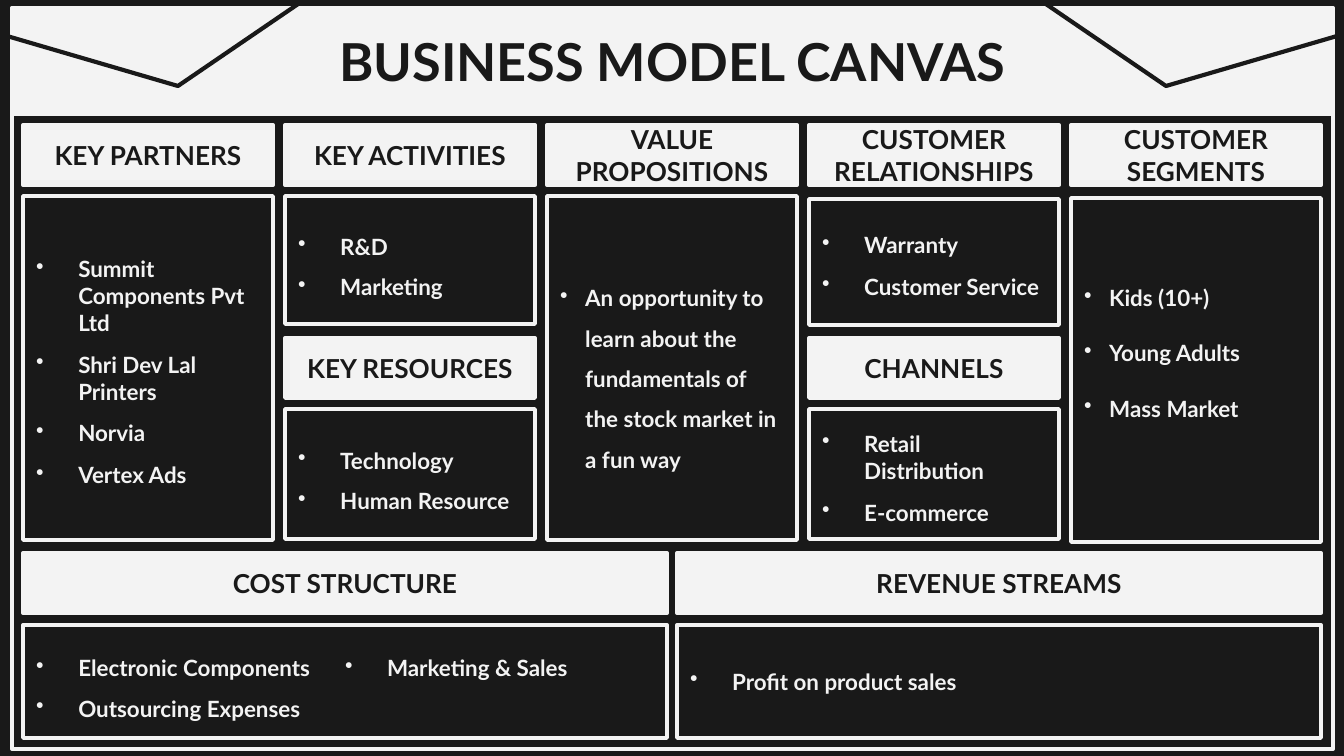
"""Build a business model canvas slide."""
from lxml.etree import SubElement
from pptx import Presentation
from pptx.dml.color import RGBColor
from pptx.enum.shapes import MSO_SHAPE as Shape
from pptx.enum.text import MSO_ANCHOR as Anchor, PP_ALIGN as Align
from pptx.oxml.ns import qn
from pptx.util import Pt

SCALE = 914400 / 134.4
WIDTH, HEIGHT = 1344, 756
COLORS = {"dark": "191919", "light": "F3F3F3"}
FONT = "Lato"
LEFT, PITCH, COLUMN = 23, 262, 250
WIDE, WIDE_PITCH = 644, 654
HEADER_HEIGHT = 60
INSET = 7

HEADERS = [
    (0, 125, "KEY PARTNERS"),
    (1, 125, "KEY ACTIVITIES"),
    (2, 125, "VALUE PROPOSITIONS"),
    (3, 125, "CUSTOMER RELATIONSHIPS"),
    (4, 125, "CUSTOMER SEGMENTS"),
    (1, 338, "KEY RESOURCES"),
    (3, 338, "CHANNELS"),
]
SPACED = {"space": 4}
OPEN = {"line_spacing": 1.5}
NARROW = {"space": 4, "line_spacing": 1.5, "indent": 25}
BODIES = [
    (0, 196, 344, ["Summit Components Pvt Ltd", "Shri Dev Lal Printers",
                   "Norvia", "Vertex Ads"], SPACED),
    (1, 196, 128, ["R&D", "Marketing"], OPEN),
    (1, 409, 130, ["Technology", "Human Resource"], OPEN),
    (2, 196, 344, ["An opportunity to learn about the fundamentals of "
                   "the stock market in a fun way"], NARROW),
    (3, 199, 126, ["Warranty", "Customer Service"], SPACED),
    (3, 409, 130, ["Retail Distribution", "E-commerce"], SPACED),
    (4, 198, 344, ["Kids (10+)", "Young Adults", "Mass Market"],
     {**NARROW, "bottom": 62}),
]
FOOTERS = [
    ("COST STRUCTURE", ["Electronic Components", "Outsourcing Expenses",
                        "Marketing & Sales"], {**OPEN, "columns": 2}),
    ("REVENUE STREAMS", ["Profit on product sales"], {}),
]


def px(value):
    """Turn pixels into EMU."""
    return round(value * SCALE)


def color(name):
    """Return a named colour."""
    return RGBColor.from_string(COLORS[name])


def add_box(slide, left, top, width, height, fill=None, line_width=2):
    """Add a light-edged rectangle."""
    shape = slide.shapes.add_shape(
        Shape.RECTANGLE, px(left), px(top), px(width), px(height))
    shape.shadow.inherit = False
    if fill:
        shape.fill.solid()
        shape.fill.fore_color.rgb = color(fill)
    else:
        shape.fill.background()
    shape.line.color.rgb = color("light")
    shape.line.width = Pt(line_width)
    return shape


def add_bullet(paragraph, indent):
    """Give a paragraph a hanging bullet."""
    properties = paragraph._p.get_or_add_pPr()
    properties.set("marL", str(px(indent)))
    properties.set("indent", str(-px(indent)))
    bullet_color = SubElement(properties, qn("a:buClr"))
    SubElement(bullet_color, qn("a:srgbClr")).set("val", COLORS["light"])
    SubElement(properties, qn("a:buChar")).set("char", "•")


def write(paragraph, text, size, font_color, align):
    """Write bold text into a paragraph."""
    paragraph.alignment = align
    run = paragraph.add_run()
    run.text = text
    run.font.name = FONT
    run.font.size = Pt(size)
    run.font.bold = True
    run.font.color.rgb = color(font_color)


def add_header(slide, left, top, width, text, height=HEADER_HEIGHT, size=14):
    """Add a light box with a centred heading."""
    frame = add_box(slide, left, top, width, height, "light").text_frame
    frame.word_wrap = True
    frame.vertical_anchor = Anchor.MIDDLE
    write(frame.paragraphs[0], text, size, "dark", Align.CENTER)


def add_list(slide, left, top, width, height, items, indent=42, space=0,
             line_spacing=1, bottom=INSET, columns=1):
    """Add an outlined box with a bulleted list."""
    frame = add_box(slide, left, top, width, height).text_frame
    frame.word_wrap = True
    frame.vertical_anchor = Anchor.MIDDLE
    frame.margin_top = px(INSET) + Pt(space)
    frame.margin_bottom = px(bottom)
    if columns > 1:
        frame._txBody.bodyPr.set("numCol", str(columns))
    for index, item in enumerate(items):
        paragraph = frame.add_paragraph() if index else frame.paragraphs[0]
        add_bullet(paragraph, indent)
        paragraph.line_spacing = line_spacing
        paragraph.space_before = Pt(space if index else 0)
        paragraph.space_after = Pt(space)
        write(paragraph, item, 12, "light", Align.LEFT)


def add_chevron(slide, points):
    """Add an open dark line through the points."""
    builder = slide.shapes.build_freeform(*points[0], scale=SCALE)
    builder.add_line_segments(points[1:], close=False)
    shape = builder.convert_to_shape()
    shape.shadow.inherit = False
    shape.fill.background()
    shape.line.color.rgb = color("dark")
    shape.line.width = Pt(2.25)


def main():
    """Build and save the slide."""
    presentation = Presentation()
    presentation.slide_width = px(WIDTH)
    presentation.slide_height = px(HEIGHT)
    slide = presentation.slides.add_slide(presentation.slide_layouts[6])
    slide.background.fill.solid()
    slide.background.fill.fore_color.rgb = color("dark")

    add_box(slide, 12, 8, 1321, 741, "dark", 2.25)
    add_header(slide, 12, 8, 1321, "BUSINESS MODEL CANVAS", 106, 28)
    for column, top, text in HEADERS:
        add_header(slide, LEFT + column * PITCH, top, COLUMN, text)
    for column, top, height, items, style in BODIES:
        add_list(slide, LEFT + column * PITCH, top, COLUMN, height, items,
                 **style)
    for index, (title, items, style) in enumerate(FOOTERS):
        left = LEFT + index * WIDE_PITCH
        add_header(slide, left, 553, WIDE, title)
        add_list(slide, left, 625, WIDE, 113, items, **style)

    chevron = [(0, 34), (178, 86), (304, 0)]
    add_chevron(slide, chevron)
    add_chevron(slide, [(WIDTH - x, y) for x, y in chevron])
    presentation.save("out.pptx")


if __name__ == "__main__":
    main()
